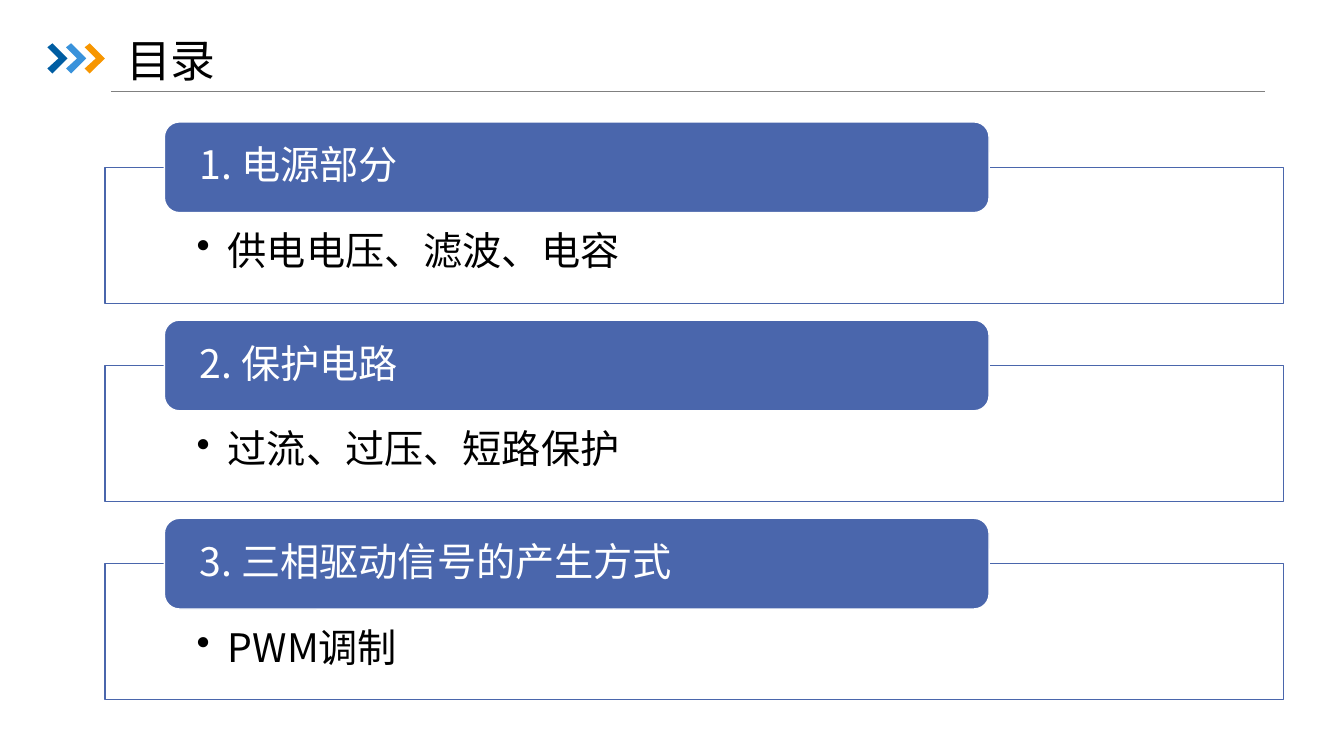
from pptx import Presentation
from pptx.dml.color import RGBColor
from pptx.enum.shapes import MSO_CONNECTOR, MSO_SHAPE
from pptx.enum.text import MSO_ANCHOR, PP_ALIGN
from pptx.oxml.ns import qn
from pptx.util import Inches, Pt
from lxml.etree import SubElement

FONT = "Noto Sans CJK SC"
COLORS = {"blue": "4A66AC", "white": "FFFFFF", "black": "000000", "gray": "808080"}
CHEVRONS = ["005DA2", "3992DB", "F79600"]
SECTIONS = [
    ("1. 电源部分", "供电电压、滤波、电容"),
    ("2. 保护电路", "过流、过压、短路保护"),
    ("3. 三相驱动信号的产生方式", "PWM调制"),
]
PANEL = {"fill": "white", "line": "blue", "text": "black", "size": 28,
         "frame": {"margin_left": Inches(0.91), "margin_right": Inches(0.91),
                   "margin_top": Inches(0.64), "margin_bottom": Inches(0.22),
                   "vertical_anchor": MSO_ANCHOR.TOP, "word_wrap": True}}
HEADING = {"fill": "blue", "line": "white", "text": "white", "size": 28,
           "frame": {"margin_left": Inches(0.31), "margin_right": Inches(0.31),
                     "margin_top": 0, "margin_bottom": 0,
                     "vertical_anchor": MSO_ANCHOR.MIDDLE, "word_wrap": True}}
TITLE = {"text": "black", "size": 32,
         "frame": {"margin_top": 0, "margin_bottom": 0,
                   "vertical_anchor": MSO_ANCHOR.MIDDLE, "word_wrap": True}}


def write_text(shape, text, style, bullet=False):
    tf = shape.text_frame
    for name, value in style["frame"].items():
        setattr(tf, name, value)
    p = tf.paragraphs[0]
    if bullet:
        pPr = p._p.get_or_add_pPr()
        pPr.set("marL", str(Inches(0.31)))
        pPr.set("indent", str(-Inches(0.31)))
        SubElement(pPr, qn("a:buChar"), char="•")
    p.alignment = PP_ALIGN.LEFT
    p.line_spacing = 0.9
    r = p.add_run()
    r.text = text
    for name, value in {"name": FONT, "size": Pt(style["size"]), "bold": False}.items():
        setattr(r.font, name, value)
    r.font.color.rgb = RGBColor.from_string(COLORS[style["text"]])
    SubElement(r._r.get_or_add_rPr(), qn("a:ea"), typeface=FONT)


def add_box(kind, left, top, width, height, style):
    sp = s.shapes.add_shape(kind, Inches(left), Inches(top), Inches(width), Inches(height))
    sp.shadow.inherit = False
    sp.fill.solid()
    sp.fill.fore_color.rgb = RGBColor.from_string(COLORS[style["fill"]])
    sp.line.color.rgb = RGBColor.from_string(COLORS[style["line"]])
    sp.line.width = Pt(1)
    return sp


prs = Presentation()
prs.slide_width, prs.slide_height = Inches(13.33), Inches(7.5)
s = prs.slides.add_slide(prs.slide_layouts[5])

# Title
title = s.shapes.title
place = {"left": 1.15, "top": 0.41, "width": 8.86, "height": 0.43}
for name, value in place.items():
    setattr(title, name, Inches(value))
write_text(title, "目录", TITLE)

# Rule below the title
rule = s.shapes.add_connector(MSO_CONNECTOR.STRAIGHT, Inches(1.1), Inches(0.91),
                              Inches(12.55), Inches(0.91))
rule.line.color.rgb = RGBColor.from_string(COLORS["gray"])
rule.line.width = Pt(0.5)
SubElement(rule._element.spPr, qn("a:effectLst"))

# Three chevrons
OUTLINE = [(0, 0.04), (0.05, 0), (0.2, 0.15), (0.05, 0.3), (0, 0.25), (0.11, 0.15)]
for i, color in enumerate(CHEVRONS):
    points = [(Inches(0.47 + 0.185 * i + x), Inches(0.43 + y)) for x, y in OUTLINE]
    builder = s.shapes.build_freeform(*points[0])
    builder.add_line_segments(points[1:], close=True)
    chevron = builder.convert_to_shape()
    chevron.shadow.inherit = False
    chevron.fill.solid()
    chevron.fill.fore_color.rgb = RGBColor.from_string(color)
    chevron.line.fill.background()

# Sections: outlined panel with a heading over its top edge
for i, (heading, item) in enumerate(SECTIONS):
    top = 1.21 + 1.966 * i
    panel = add_box(MSO_SHAPE.RECTANGLE, 1.04, top + 0.45, 11.69, 1.35, PANEL)
    alpha = panel.fill._xPr.find(qn("a:solidFill"))[0]
    SubElement(alpha, qn("a:alpha"), val="90000")
    write_text(panel, item, PANEL, bullet=True)
    tab = add_box(MSO_SHAPE.ROUNDED_RECTANGLE, 1.63, top, 8.18, 0.9, HEADING)
    write_text(tab, heading, HEADING)

prs.save("out.pptx")
